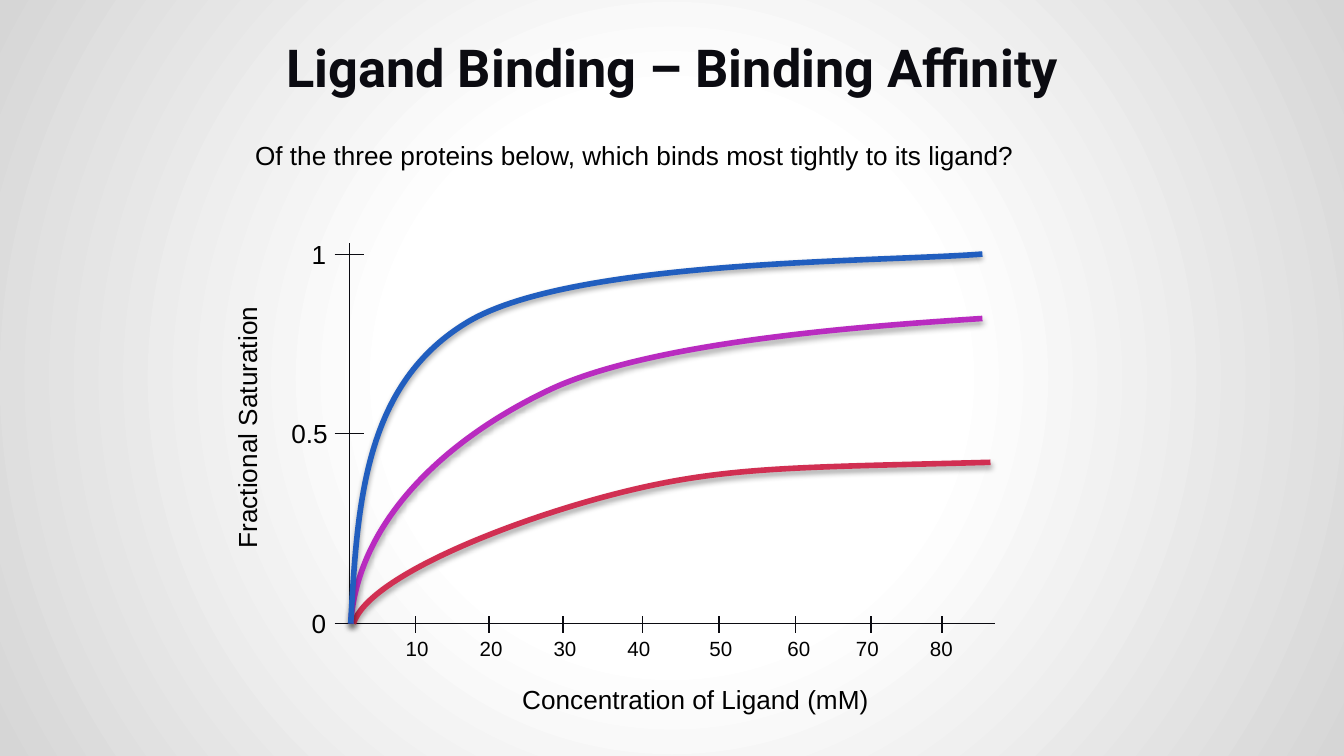
import lxml.etree
import pptx
import pptx.dml.color
import pptx.enum.shapes
import pptx.enum.text
import pptx.oxml
import pptx.oxml.ns
import pptx.util

COLORS = {"ink": "0B0B11", "text": "000000", "blue": "215EBF", "purple": "B92BC0",
          "red": "D12F52", "center": "FFFFFF", "edge": "D6D6D6"}
CELL = pptx.util.Inches(0.1)
COLUMNS, ROWS = 100, 56.25
ORIGIN = (26, 46.4)
AXIS_END = (74, 18.1)
SATURATION = {"1": (18.93, 22.2, 2.9), "0.5": (32.26, 20.7, 5.5), "0": (46.4, 22.2, 2.9)}
CONCENTRATION = {10: (30.9, 29.2), 20: (36.4, 34.7), 30: (41.9, 40.2), 40: (47.8, 45.7),
                 50: (53.5, 51.8), 60: (59.2, 57.6), 70: (64.8, 62.7), 80: (70.1, 68.2)}
CURVES = {
    "red": [(26.3, 46.4), (27.4, 42.9), (38.1, 38.7), (46, 36.7),
            (53.9, 34.7), (59, 34.8), (73.7, 34.4)],
    "purple": [(26.1, 46.4), (26.6, 39), (32.8, 32.9), (40.7, 29.1),
               (48.5, 25.3), (65.5, 24.2), (73.1, 23.7)],
    "blue": [(26.1, 46.4), (26.6, 37.4), (27.1, 28.5), (34.9, 23.9),
             (42.8, 19.3), (65.5, 19.5), (73.1, 18.9)],
}


def grid(*cells):
    """Convert grid cells to slide lengths."""
    return [pptx.util.Emu(round(cell * CELL)) for cell in cells]


def color(name):
    """Look up a palette colour."""
    return pptx.dml.color.RGBColor.from_string(COLORS[name])


def add_background(slide):
    """Fill the slide with a radial gradient."""
    stops = "".join(
        f'<a:gs pos="{share * 1000}"><a:srgbClr val="{COLORS[name]}"/></a:gs>'
        for share, name in ((0, "center"), (36, "center"), (100, "edge")))
    background = pptx.oxml.parse_xml(
        f'<p:bg {pptx.oxml.ns.nsdecls("p", "a")}><p:bgPr><a:gradFill rotWithShape="1">'
        f'<a:gsLst>{stops}</a:gsLst><a:path path="circle">'
        '<a:fillToRect l="50000" t="50000" r="50000" b="50000"/></a:path>'
        '</a:gradFill><a:effectLst/></p:bgPr></p:bg>')
    slide.shapes.element.addprevious(background)


def style_font(paragraph, size, name, tint, bold=False):
    """Set the font of a whole paragraph."""
    font = paragraph.font
    font.size, font.name, font.bold = pptx.util.Pt(size), name, bold
    font.color.rgb = color(tint)


def add_title(slide, words):
    """Place and format the title."""
    title = slide.shapes.title
    title.left, title.top, title.width, title.height = grid(7.85, 1.6, 84.3, 6.3)
    frame = title.text_frame
    frame.text = words
    frame.auto_size = pptx.enum.text.MSO_AUTO_SIZE.NONE
    frame.vertical_anchor = pptx.enum.text.MSO_ANCHOR.TOP
    frame.margin_left = frame.margin_right = frame.margin_top = frame.margin_bottom = CELL
    frame.paragraphs[0].alignment = pptx.enum.text.PP_ALIGN.CENTER
    style_font(frame.paragraphs[0], 28, "Roboto", "ink", True)


def add_label(shapes, words, box, size=14, wrap=True, upward=False):
    """Add a text label, optionally reading upward."""
    frame = shapes.add_textbox(*grid(*box)).text_frame
    frame.text = words
    frame.word_wrap = wrap
    if upward:
        frame._txBody.bodyPr.set("vert", "vert270")
    style_font(frame.paragraphs[0], size, "Arial", "text")


def add_rule(shapes, start, end):
    """Add a thin axis or tick line."""
    rule = shapes.add_connector(pptx.enum.shapes.MSO_CONNECTOR.STRAIGHT,
                                *grid(*start, *end))
    rule.line.width = pptx.util.Pt(0.75)
    rule.line.color.rgb = color("ink")
    lxml.etree.SubElement(rule.element.spPr, pptx.oxml.ns.qn("a:effectLst"))


def bend(outline):
    """Turn each three straight segments into one cubic segment."""
    segments = outline.element.findall(".//" + pptx.oxml.ns.qn("a:lnTo"))
    for first in range(0, len(segments), 3):
        cubic = pptx.oxml.parse_xml(f'<a:cubicBezTo {pptx.oxml.ns.nsdecls("a")}/>')
        segments[first].addprevious(cubic)
        for segment in segments[first:first + 3]:
            cubic.append(segment[0])
            segment.getparent().remove(segment)


def add_curve(shapes, tint, points):
    """Add a smooth binding curve with a soft shadow."""
    builder = shapes.build_freeform(*grid(*points[0]), scale=1.0)
    builder.add_line_segments([grid(*point) for point in points[1:]], close=False)
    curve = builder.convert_to_shape()
    bend(curve)
    curve.fill.background()
    curve.line.width = pptx.util.Pt(3)
    curve.line.color.rgb = color(tint)
    curve.element.spPr.append(pptx.oxml.parse_xml(
        f'<a:effectLst {pptx.oxml.ns.nsdecls("a")}>'
        f'<a:outerShdw blurRad="{pptx.util.Pt(3.1)}" dist="{pptx.util.Pt(1.8)}" '
        f'dir="5400000" rotWithShape="0"><a:srgbClr val="{COLORS["text"]}">'
        '<a:alpha val="35000"/></a:srgbClr></a:outerShdw></a:effectLst>'))


def add_axes(shapes):
    """Draw both axes with their ticks and labels."""
    add_rule(shapes, ORIGIN, (ORIGIN[0], AXIS_END[1]))
    add_rule(shapes, ORIGIN, (AXIS_END[0], ORIGIN[1]))
    for value, (row, left, width) in SATURATION.items():
        add_rule(shapes, (ORIGIN[0] - 1.1, row), (ORIGIN[0] + 1.1, row))
        add_label(shapes, value, (left, row - 1.68, width, 3.4))
    for value, (column, left) in CONCENTRATION.items():
        add_rule(shapes, (column, ORIGIN[1] + 0.7), (column, ORIGIN[1] - 0.6))
        add_label(shapes, str(value), (left, 46.8, 4.2, 2.9), size=11)
    add_label(shapes, "Fractional Saturation", (16.7, 22.7, 3.4, 19.1),
              wrap=False, upward=True)
    add_label(shapes, "Concentration of Ligand (mM)", (37.87, 50.35, 27.9, 3.4), wrap=False)


def main():
    """Build the ligand binding slide."""
    deck = pptx.Presentation()
    deck.slide_width, deck.slide_height = grid(COLUMNS, ROWS)
    slide = deck.slides.add_slide(deck.slide_layouts[5])
    add_background(slide)
    add_title(slide, "Ligand Binding – Binding Affinity")
    plot = slide.shapes.add_group_shape().shapes
    add_axes(plot)
    for tint, points in CURVES.items():
        add_curve(plot, tint, points)
    add_label(slide.shapes,
              "Of the three proteins below, which binds most tightly to its ligand?",
              (18, 9.9, 59.6, 3.4))
    deck.save("out.pptx")


if __name__ == "__main__":
    main()
